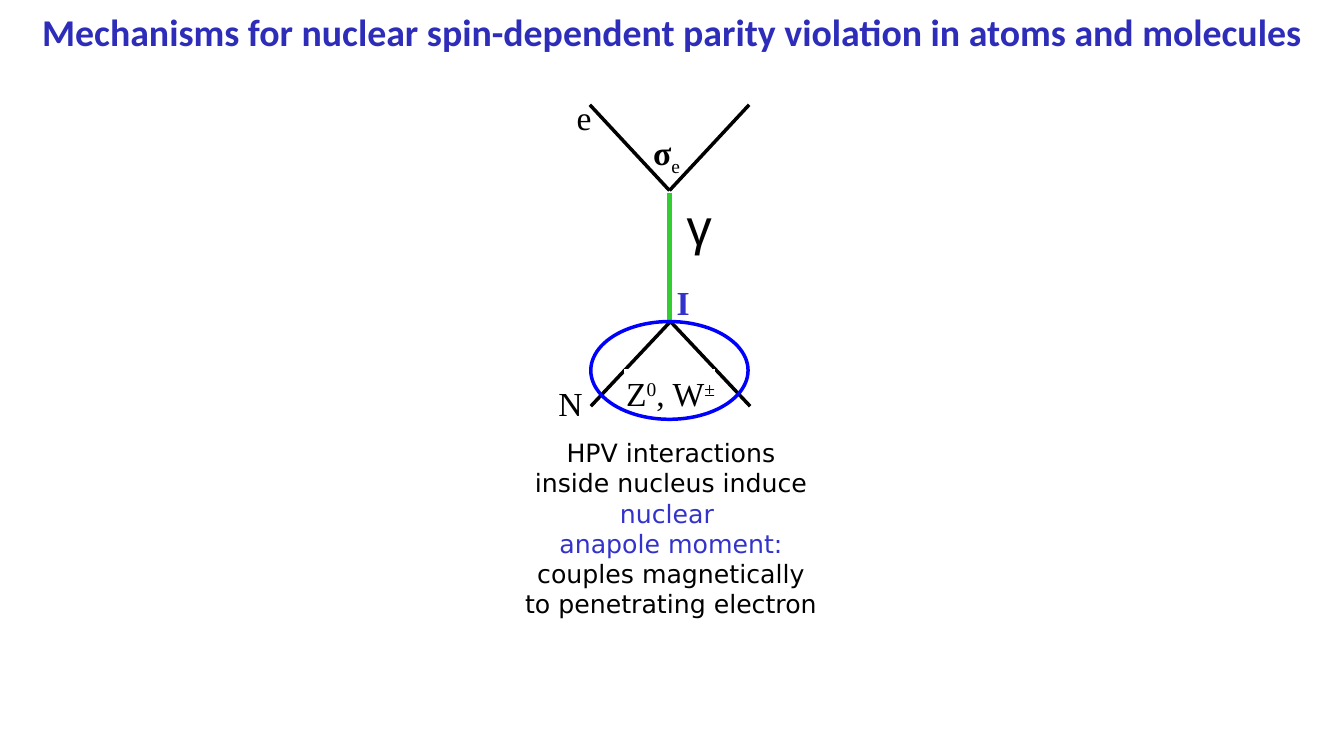
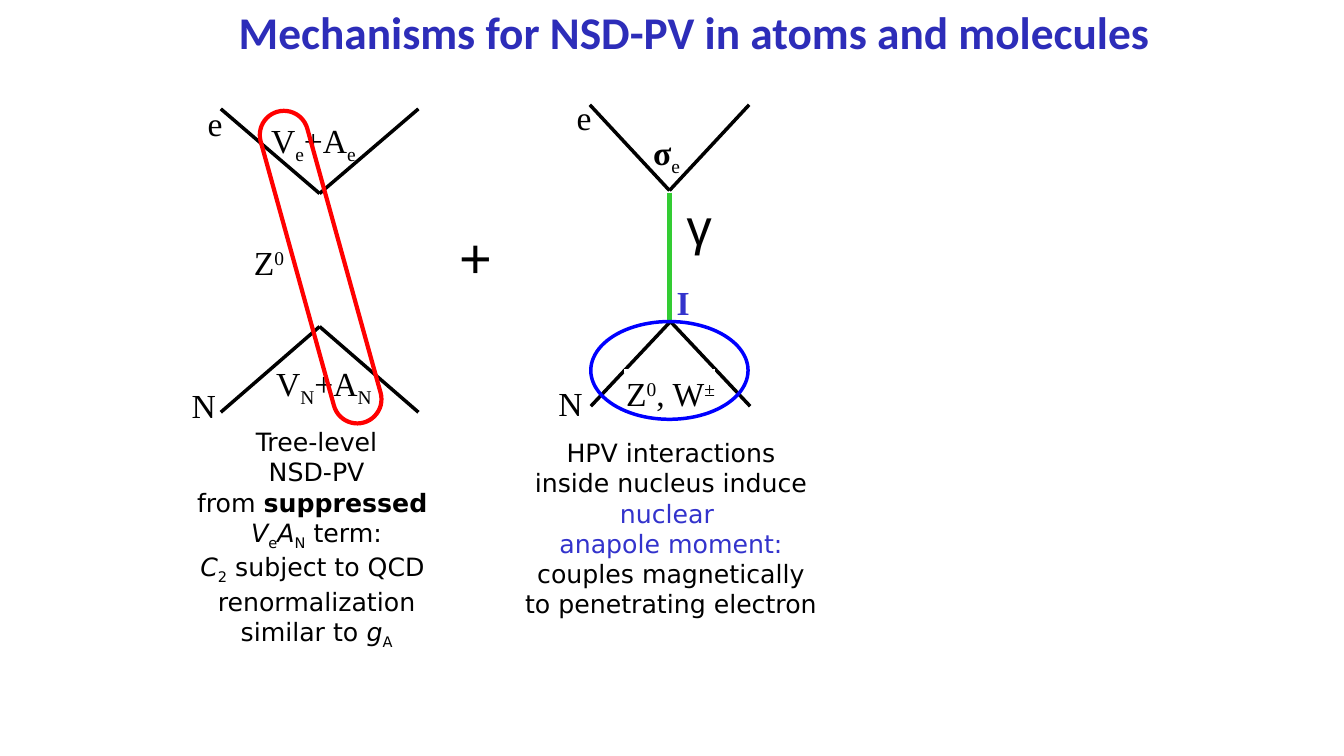
import pptx
import pptx.util
from lxml import etree
from pptx.dml.color import RGBColor
from pptx.enum.shapes import MSO_CONNECTOR, MSO_SHAPE
from pptx.enum.text import MSO_ANCHOR, MSO_AUTO_SIZE, PP_ALIGN
from pptx.oxml.ns import qn

Inches, Pt = pptx.util.Inches, pptx.util.Pt

# Shared look
SLIDE_WIDTH, SLIDE_HEIGHT = 13.33, 7.5
TITLE_BLUE = RGBColor(0x2D, 0x2D, 0xB9)
ACCENT_BLUE = RGBColor(0x33, 0x33, 0xCC)
OUTLINE_BLUE = RGBColor(0x00, 0x00, 0xFF)
PHOTON_GREEN = RGBColor(0x33, 0xCC, 0x33)
RED = RGBColor(0xFF, 0x00, 0x00)
BLACK = RGBColor(0x00, 0x00, 0x00)
WHITE = RGBColor(0xFF, 0xFF, 0xFF)
SERIF, SANS, CAPTION = "Times New Roman", "Arial", "DejaVu Sans"

# Content: a paragraph is a list of (text, marks) runs;
# marks are b bold, i italic, a accent colour, _ subscript, ^ superscript
TITLES = [
    ("Mechanisms for nuclear spin-dependent parity violation in atoms and molecules", 27, 0),
    ("Mechanisms for NSD-PV in atoms and molecules", 32.4, 0.69),
]
ANAPOLE_CAPTION = [
    [("HPV interactions", "")],
    [("inside nucleus induce", "")],
    [("nuclear \nanapole moment:", "a")],
    [("couples magnetically", "")],
    [("to penetrating electron", "")],
]
TREE_CAPTION = [
    [("Tree-level", "")],
    [("NSD-PV", "")],
    [("from ", ""), ("suppressed ", "b")],
    [("V", "i"), ("e", "_"), ("A", "i"), ("N", "_"), (" term:", "")],
    [("C", "i"), ("2", "_"), (" subject to QCD \nrenormalization\nsimilar to ", ""),
     ("g", "i"), ("A", "_")],
]
# Labels: box (left, top, width, height), runs, format
ANAPOLE_LABELS = [
    ((5.62, 0.91, 0.35, 0.5), [("e", "")], {}),
    ((6.81, 1.94, 0.2, 0.6), [("γ", "")], dict(size=36, font=SANS, inset=False)),
    ((5.44, 3.75, 0.53, 0.5), [("N", "")], {}),
    ((6.21, 3.7, 1.03, 0.4), [("Z", ""), ("0", "^"), (", W", ""), ("±", "^")],
     dict(inset=False, wrap=True)),
    ((6.38, 1.26, 0.5, 1), [("σ", "b"), ("e", "_")], {}),
    ((6.71, 2.8, 0.22, 0.4), [("I", "ab")], dict(inset=False, wrap=True)),
]
TREE_LABELS = [
    ((2.64, 3.55, 1.22, 1), [("V", ""), ("N", "_"), ("+A", ""), ("N", "_")], dict(wrap=True)),
    ((2.59, 1.14, 1.07, 1), [("V", ""), ("e", "_"), ("+A", ""), ("e", "_")], {}),
    ((2.42, 2.35, 0.52, 0.5), [("Z", ""), ("0", "^")], {}),
    ((1.9, 3.82, 0.37, 0.4), [("N", "")], dict(inset=False, wrap=True)),
    ((1.96, 0.97, 0.35, 0.5), [("e", "")], {}),
    ((4.46, 2.16, 0.53, 0.77), [("+", "")], dict(size=40, font=SANS)),
]


def add_text(shapes, box, paragraphs, size=24, font=SERIF, align=PP_ALIGN.LEFT,
             wrap=False, inset=True):
    shape = shapes.add_textbox(*map(Inches, box))
    frame = shape.text_frame
    frame.word_wrap = wrap
    frame.auto_size = MSO_AUTO_SIZE.SHAPE_TO_FIT_TEXT
    if not inset:
        frame.margin_left = frame.margin_right = frame.margin_top = frame.margin_bottom = 0
    for index, runs in enumerate(paragraphs):
        paragraph = frame.add_paragraph() if index else frame.paragraphs[0]
        paragraph.alignment = align
        for text, marks in runs:
            for line_number, line in enumerate(text.split("\n")):
                if line_number:
                    paragraph.add_line_break()
                run = paragraph.add_run()
                run.text = line
                run.font.size, run.font.name = Pt(size), font
                run.font.bold, run.font.italic = "b" in marks, "i" in marks
                run.font.color.rgb = ACCENT_BLUE if "a" in marks else BLACK
                for mark, baseline in (("_", "-25000"), ("^", "30000")):
                    if mark in marks:
                        run._r.get_or_add_rPr().set("baseline", baseline)
    return shape


def add_line(shapes, start, end, color=BLACK, width=2.5):
    line = shapes.add_connector(MSO_CONNECTOR.STRAIGHT, *map(Inches, start + end))
    line.line.color.rgb, line.line.width = color, Pt(width)
    etree.SubElement(line._element.spPr, qn("a:effectLst"))


def add_outline(shapes, preset, box, color, width):
    shape = shapes.add_shape(preset, *map(Inches, box))
    shape.shadow.inherit = False
    shape.fill.background()
    shape.line.color.rgb, shape.line.width = color, Pt(width)
    return shape


def add_vertex(shapes, center, half_width, tip, vertex):
    """Two arms that meet at the vertex."""
    for side in (-1, 1):
        add_line(shapes, (center + side * half_width, tip), (center, vertex))


def add_labels(shapes, labels):
    for box, runs, text_format in labels:
        add_text(shapes, box, [runs], **text_format)


def add_titled_slide(presentation, title, size, left):
    slide = presentation.slides.add_slide(presentation.slide_layouts[5])
    shape = slide.shapes.title
    shape.left, shape.top = Inches(left), Inches(0.01)
    shape.width, shape.height = Inches(SLIDE_WIDTH - left * 1.36), Inches(0.6)
    frame = shape.text_frame
    frame.text = title
    frame.auto_size = MSO_AUTO_SIZE.NONE
    frame.vertical_anchor = MSO_ANCHOR.MIDDLE
    paragraph = frame.paragraphs[0]
    paragraph.alignment = PP_ALIGN.CENTER
    font = paragraph.runs[0].font
    font.name, font.size, font.bold = "Calibri", Pt(size), True
    font.color.rgb = TITLE_BLUE
    return slide


def add_anapole_diagram(slide):
    shapes = slide.shapes.add_group_shape().shapes
    center = 6.64
    add_text(shapes, (4.8, 4.29, 3.71, 1.92), ANAPOLE_CAPTION, size=18, font=CAPTION,
             align=PP_ALIGN.CENTER, wrap=True)
    add_vertex(shapes, center, 0.79, 1.04, 1.89)
    add_vertex(shapes, center + 0.01, 0.79, 4.03, 3.19)
    add_line(shapes, (center, 1.91), (center, 3.19), PHOTON_GREEN, 3)
    # White gap in the nucleon arms
    add_line(shapes, (center - 0.45, 3.68), (center + 0.45, 3.68), WHITE, 3)
    add_outline(shapes, MSO_SHAPE.OVAL, (center - 0.78, 3.19, 1.56, 0.97), OUTLINE_BLUE, 2.5)
    add_labels(shapes, ANAPOLE_LABELS)


def add_tree_diagram(slide):
    shapes = slide.shapes
    for tip, vertex in ((1.08, 1.92), (4.09, 3.24)):
        add_vertex(shapes, 3.17, 0.98, tip, vertex)
    add_labels(shapes, TREE_LABELS)
    exchange = add_outline(shapes, MSO_SHAPE.ROUNDED_RECTANGLE, (2.94, 1.05, 0.48, 3.2), RED, 3)
    exchange.adjustments[0] = 0.5
    exchange.rotation = 344.5
    add_text(shapes, (1.69, 4.23, 2.9, 2.12), TREE_CAPTION, size=18, font=CAPTION,
             align=PP_ALIGN.CENTER, wrap=True, inset=False)


def main():
    presentation = pptx.Presentation()
    presentation.slide_width = Inches(SLIDE_WIDTH)
    presentation.slide_height = Inches(SLIDE_HEIGHT)
    diagrams = [(add_anapole_diagram,), (add_tree_diagram, add_anapole_diagram)]
    for title, parts in zip(TITLES, diagrams):
        slide = add_titled_slide(presentation, *title)
        for add_diagram in parts:
            add_diagram(slide)
    presentation.save("out.pptx")


if __name__ == "__main__":
    main()
